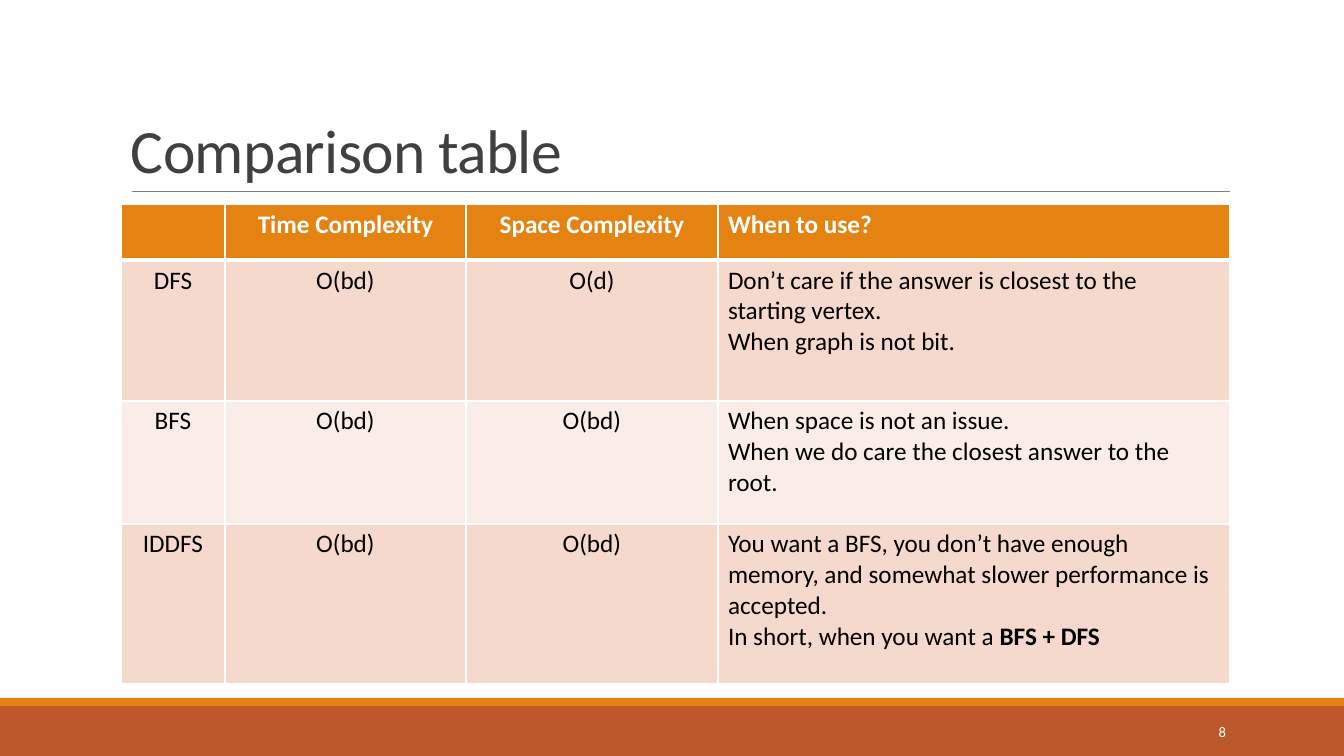
from pptx import Presentation
from pptx.dml.color import RGBColor
from pptx.enum.shapes import MSO_CONNECTOR, MSO_SHAPE
from pptx.enum.text import MSO_ANCHOR, PP_ALIGN
from pptx.oxml.ns import qn
from pptx.util import Pt
from lxml import etree

RECT = MSO_SHAPE.RECTANGLE
LINE = MSO_CONNECTOR.STRAIGHT
BOTTOM, MIDDLE = MSO_ANCHOR.BOTTOM, MSO_ANCHOR.MIDDLE
LEFT, CENTER, RIGHT = PP_ALIGN.LEFT, PP_ALIGN.CENTER, PP_ALIGN.RIGHT


class Theme:
    font = "Calibri"
    white, black = "FFFFFF", "000000"
    title, rule = "404040", "808080"
    orange, rust = "E48312", "BD582C"
    bands = ("F5D9CC", "FAEDE7")
    big, body, small = 44, 18, 10.5


COLS = [104, 241, 252, 512]
ROWS = [56, 141, 123, 160]
# A cell is a list of paragraphs; a paragraph is a list of (text, bold) runs.
HEAD = [[], [[("Time Complexity", True)]], [[("Space Complexity", True)]],
        [[("When to use?", True)]]]
BODY = [
    ("DFS", "O(bd)", "O(d)", [
        [("Don’t care if the answer is closest to the starting vertex.", False)],
        [("When graph is not bit.", False)]]),
    ("BFS", "O(bd)", "O(bd)", [
        [("When space is not an issue.", False)],
        [("When we do care the closest answer to the root.", False)]]),
    ("IDDFS", "O(bd)", "O(bd)", [
        [("You want a BFS, you don’t have enough memory, "
          "and somewhat slower performance is accepted.", False)],
        [("In short, when you want a ", False), ("BFS + DFS", True)]]),
]


def px(n):
    return round(n * 914400 / 100.8)


def rgb(code):
    return RGBColor.from_string(code)


def style(font, color, **values):
    for name, value in {"name": Theme.font, **values}.items():
        setattr(font, name, value)
    font.color.rgb = rgb(color)


def bar(slide, top, height, color):
    shape = slide.shapes.add_shape(RECT, 0, px(top), px(1344), px(height))
    shape.shadow.inherit = False
    shape.fill.solid()
    shape.fill.fore_color.rgb = rgb(color)
    shape.line.fill.background()


def rule(slide, left, right, y):
    line = slide.shapes.add_connector(LINE, px(left), px(y), px(right), px(y))
    line.line.color.rgb = rgb(Theme.rule)
    line.line.width = Pt(0.5)
    etree.SubElement(line._element.spPr, qn("a:effectLst"))


def label(slide, text, area, size, color, anchor, align=LEFT):
    box = slide.shapes.add_textbox(*map(px, area))
    frame = box.text_frame
    frame.word_wrap = True
    frame.vertical_anchor = anchor
    para = frame.paragraphs[0]
    para.alignment = align
    run = para.add_run()
    run.text = text
    style(run.font, color, size=Pt(size))
    return para


def border(cell, base):
    """Draw white cell edges, with the bottom edge base points wide."""
    props = cell._tc.get_or_add_tcPr()
    for side, width in {"L": 1, "R": 1, "T": 1, "B": base}.items():
        edge = etree.SubElement(props, qn(f"a:ln{side}"), w=str(Pt(width)))
        fill = etree.SubElement(edge, qn("a:solidFill"))
        etree.SubElement(fill, qn("a:srgbClr"), val=Theme.white)


def fill_cell(cell, paras, back, color, align, base):
    border(cell, base)
    cell.fill.solid()
    cell.fill.fore_color.rgb = rgb(back)
    frame = cell.text_frame
    for i, runs in enumerate(paras):
        para = frame.add_paragraph() if i else frame.paragraphs[0]
        para.alignment = align
        for text, bold in runs:
            run = para.add_run()
            run.text = text
            style(run.font, color, size=Pt(Theme.body), bold=bold)


def grid(slide, left, top):
    rows = [HEAD] + [[[[(text, False)]] for text in texts] + [notes]
                     for *texts, notes in BODY]
    table = slide.shapes.add_table(len(ROWS), len(COLS), px(left), px(top),
                                   px(sum(COLS)), px(sum(ROWS))).table
    for col, width in zip(table.columns, COLS):
        col.width = px(width)
    for r, (row, height) in enumerate(zip(rows, ROWS)):
        table.rows[r].height = px(height)
        back = Theme.bands[(r - 1) % 2] if r else Theme.orange
        color = Theme.black if r else Theme.white
        for c, paras in enumerate(row):
            align = LEFT if c == len(COLS) - 1 else CENTER
            # The header is set off by a thick edge, shared by the row below.
            fill_cell(table.cell(r, c), paras, back, color, align, 1 if r else 3)
            if r == 1:
                top_edge = table.cell(r, c)._tc.tcPr.find(qn("a:lnT"))
                top_edge.set("w", str(Pt(3)))


def main():
    deck = Presentation()
    deck.slide_width, deck.slide_height = px(1344), px(756)
    slide = deck.slides.add_slide(deck.slide_layouts[6])
    bar(slide, 706, 50, Theme.rust)
    bar(slide, 698, 8, Theme.orange)
    rule(slide, 132, 1230, 191)
    title = label(slide, "Comparison table", (121, 31, 1109, 160),
                  Theme.big, Theme.title, BOTTOM)
    title.line_spacing = 0.85
    title.runs[0]._r.get_or_add_rPr().set("spc", "-50")
    grid(slide, 121, 204)
    label(slide, "8", (1092, 712, 144, 40), Theme.small, Theme.white,
          MIDDLE, RIGHT)
    deck.save("out.pptx")


if __name__ == "__main__":
    main()
